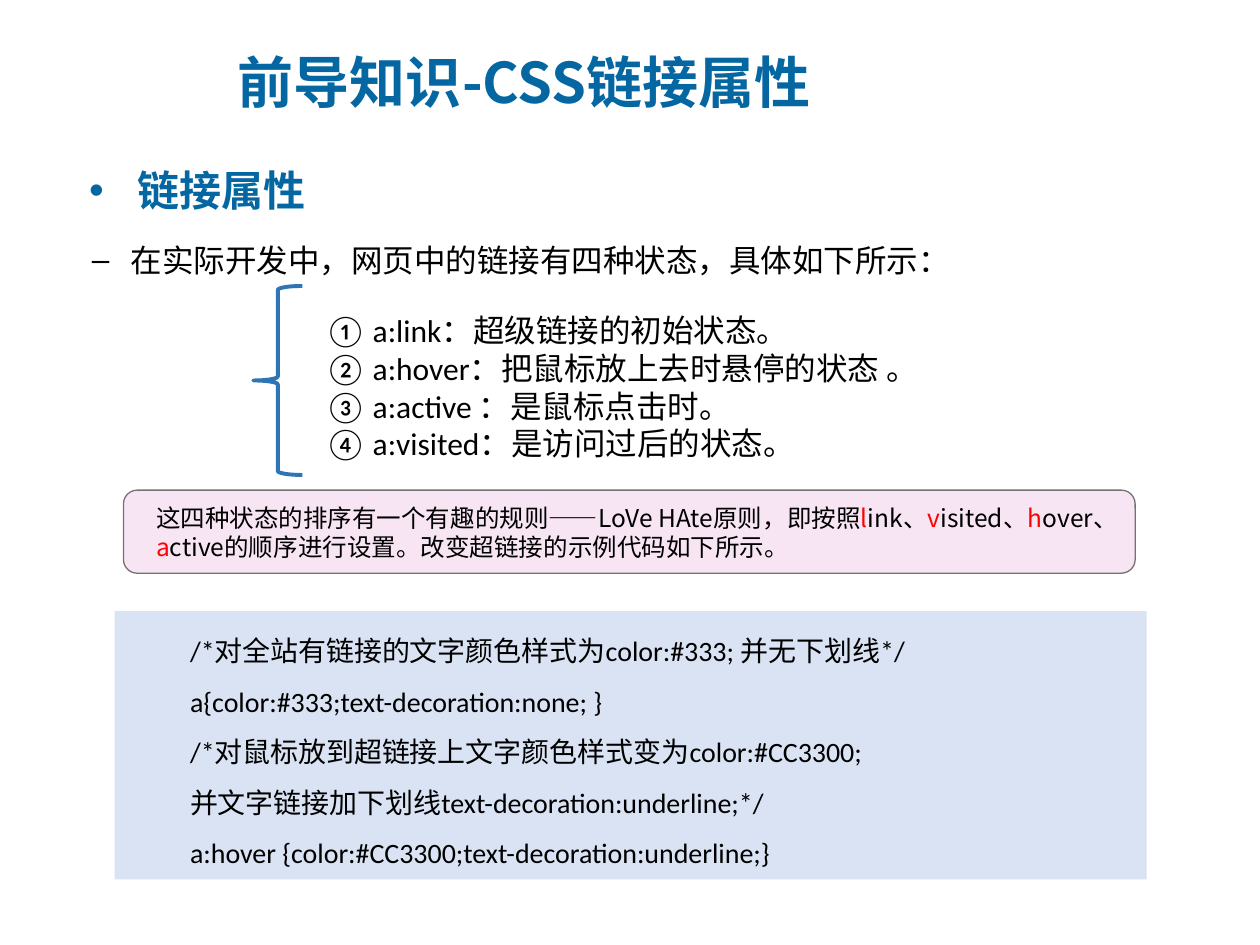
from dataclasses import dataclass

from lxml.etree import SubElement
from pptx import Presentation
from pptx.dml.color import RGBColor
from pptx.enum.shapes import MSO_SHAPE
from pptx.enum.text import MSO_ANCHOR
from pptx.oxml.ns import qn
from pptx.util import Inches, Pt

COLORS = {
    "heading": "0567A2",
    "body": "000000",
    "initial": "FF0000",
    "rule_fill": "F7E5F4",
    "rule_line": "767171",
    "code_fill": "DAE3F3",
    "brace": "2E75B6",
}
CJK_FONT = "Noto Sans CJK SC"
LATIN_FONT = "Calibri"


@dataclass(frozen=True)
class Box:
    left: float
    top: float
    width: float
    height: float

    def lengths(self) -> tuple:
        return tuple(Inches(v) for v in (self.left, self.top, self.width, self.height))


@dataclass(frozen=True)
class Style:
    size: int
    font: str
    color: str = "body"
    bold: bool = False
    margin: float = 0
    indent: float = 0
    line_spacing: float = 1.0
    space_before: float = 0
    bullet: str = ""
    numbering: str = ""


def rgb(name: str) -> RGBColor:
    return RGBColor.from_string(COLORS[name])


def format_run(run, style: Style, color: str) -> None:
    run.font.size = Pt(style.size)
    run.font.bold = style.bold
    run.font.name = style.font
    run.font.color.rgb = rgb(color)
    east_asian = SubElement(run.font._element, qn("a:ea"))
    east_asian.set("typeface", CJK_FONT)


def format_paragraph(paragraph, style: Style) -> None:
    paragraph.line_spacing = style.line_spacing
    paragraph.space_before = Pt(style.space_before)
    properties = paragraph._p.get_or_add_pPr()
    properties.set("marL", str(Inches(style.margin)))
    properties.set("indent", str(Inches(style.indent)))
    properties.set("algn", "l")
    if style.bullet:
        SubElement(properties, qn("a:buFont")).set("typeface", "Arial")
        SubElement(properties, qn("a:buChar")).set("char", style.bullet)
    elif style.numbering:
        SubElement(properties, qn("a:buFont")).set("typeface", "+mj-ea")
        SubElement(properties, qn("a:buAutoNum")).set("type", style.numbering)
    for run in paragraph.runs:
        format_run(run, style, style.color)


def write_lines(frame, lines: list[str], style: Style,
                anchor=MSO_ANCHOR.TOP, wrap: bool = True) -> None:
    frame.word_wrap = wrap
    frame.vertical_anchor = anchor
    frame.text = "\n".join(lines)
    for paragraph in frame.paragraphs:
        format_paragraph(paragraph, style)


def add_text(slide, box: Box, lines: list[str], style: Style, **options):
    frame = slide.shapes.add_textbox(*box.lengths()).text_frame
    write_lines(frame, lines, style, **options)
    return frame


def add_panel(slide, preset, box: Box, fill: str = "", line: str = "", weight: float = 0):
    panel = slide.shapes.add_shape(preset, *box.lengths())
    panel.shadow.inherit = False
    if fill:
        panel.fill.solid()
        panel.fill.fore_color.rgb = rgb(fill)
    else:
        panel.fill.background()
    if line:
        panel.line.color.rgb = rgb(line)
        panel.line.width = Pt(weight)
    else:
        panel.line.fill.background()
    return panel


def add_ordering_rule(slide) -> None:
    add_panel(slide, MSO_SHAPE.FLOWCHART_ALTERNATE_PROCESS, Box(0.98, 3.89, 8.03, 0.66),
              "rule_fill", "rule_line", 0.75)
    style = Style(14, CJK_FONT)
    frame = add_text(slide, Box(1.14, 3.94, 7.87, 0.57),
                     ["这四种状态的排序有一个有趣的规则——LoVe HAte原则，即按照"], style)
    states = [
        ("l", "ink、"),
        ("v", "isited、"),
        ("h", "over、"),
        ("a", "ctive的顺序进行设置。改变超链接的示例代码如下所示。"),
    ]
    for initial, remainder in states:
        for text, color in ((initial, "initial"), (remainder, "body")):
            run = frame.paragraphs[0].add_run()
            run.text = text
            format_run(run, style, color)


def add_code_sample(slide) -> None:
    code = add_panel(slide, MSO_SHAPE.RECTANGLE, Box(0.91, 4.85, 8.19, 2.13), "code_fill")
    write_lines(code.text_frame, [
        "/*对全站有链接的文字颜色样式为color:#333; 并无下划线*/",
        "a{color:#333;text-decoration:none; }",
        "/*对鼠标放到超链接上文字颜色样式变为color:#CC3300;",
        "并文字链接加下划线text-decoration:underline;*/",
        "a:hover {color:#CC3300;text-decoration:underline;}",
    ], Style(16, LATIN_FONT, indent=0.5, line_spacing=1.5))


def add_link_states(slide) -> None:
    states = add_text(slide, Box(2.48, 2.27, 4.96, 1.46), [
        "a:link：超级链接的初始状态。",
        "a:hover：把鼠标放上去时悬停的状态 。",
        "a:active\u00a0：是鼠标点击时。",
        "a:visited：是访问过后的状态。",
    ], Style(18, LATIN_FONT, margin=0.38, indent=-0.38, numbering="circleNumDbPlain"))
    states.paragraphs[0].line_spacing = 1.5
    brace = add_panel(slide, MSO_SHAPE.LEFT_BRACE, Box(2.01, 2.27, 0.39, 1.5),
                      line="brace", weight=2.25)
    brace.adjustments[0] = 0.08
    brace.adjustments[1] = 0.5


def main() -> None:
    presentation = Presentation()
    presentation.slide_width = Inches(10)
    presentation.slide_height = Inches(7.5)
    slide = presentation.slides.add_slide(presentation.slide_layouts[6])

    add_text(slide, Box(1.79, 0.22, 8.25, 0.84), ["前导知识-CSS链接属性"],
             Style(32, CJK_FONT, "heading", True, margin=0.62, indent=-0.62),
             anchor=MSO_ANCHOR.MIDDLE)
    add_text(slide, Box(0.61, 1.06, 1.93, 0.64), ["链接属性"],
             Style(24, LATIN_FONT, "heading", True, margin=0.38, indent=-0.38,
                   line_spacing=1.5, space_before=4.8, bullet="•"), wrap=False)
    add_text(slide, Box(0.13, 1.71, 8.72, 1.59),
             ["在实际开发中，网页中的链接有四种状态，具体如下所示："],
             Style(18, CJK_FONT, margin=0.81, indent=-0.31,
                   line_spacing=1.5, space_before=3.6, bullet="–"))
    add_link_states(slide)
    add_ordering_rule(slide)
    add_code_sample(slide)
    presentation.save("out.pptx")


if __name__ == "__main__":
    main()
